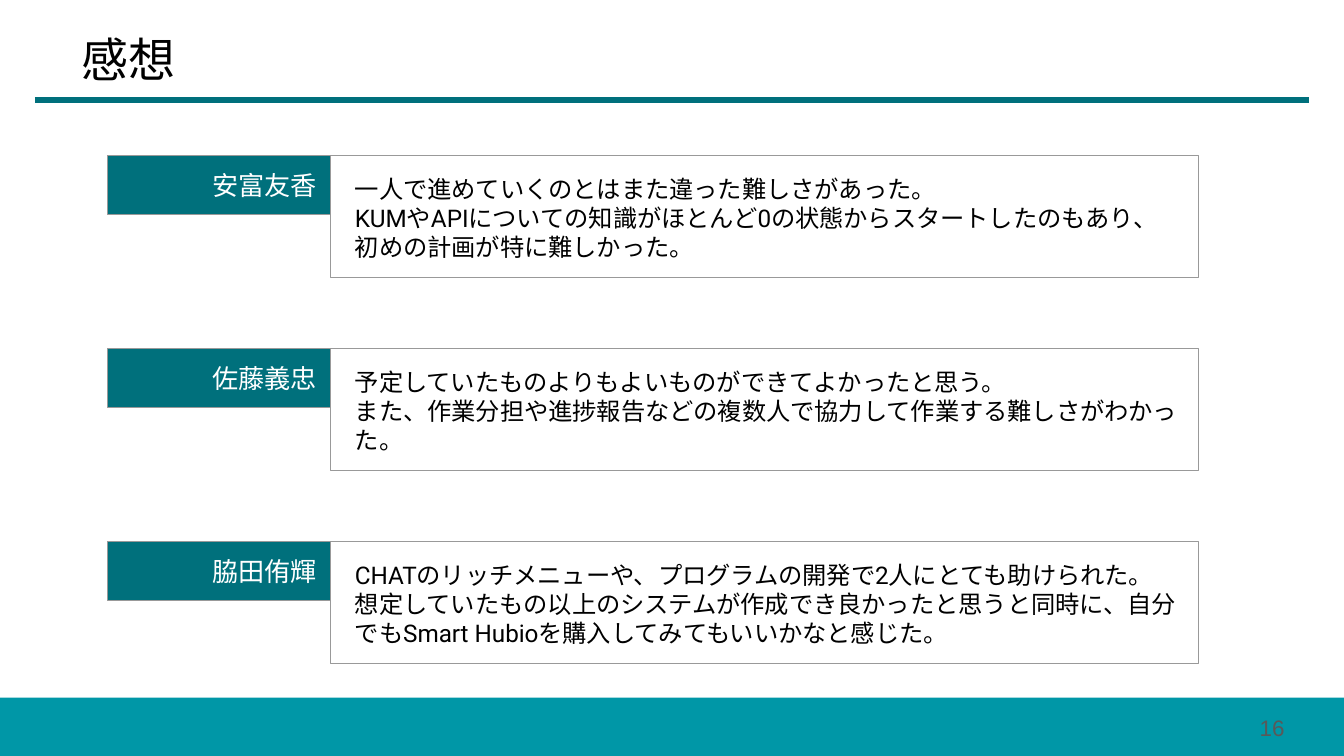
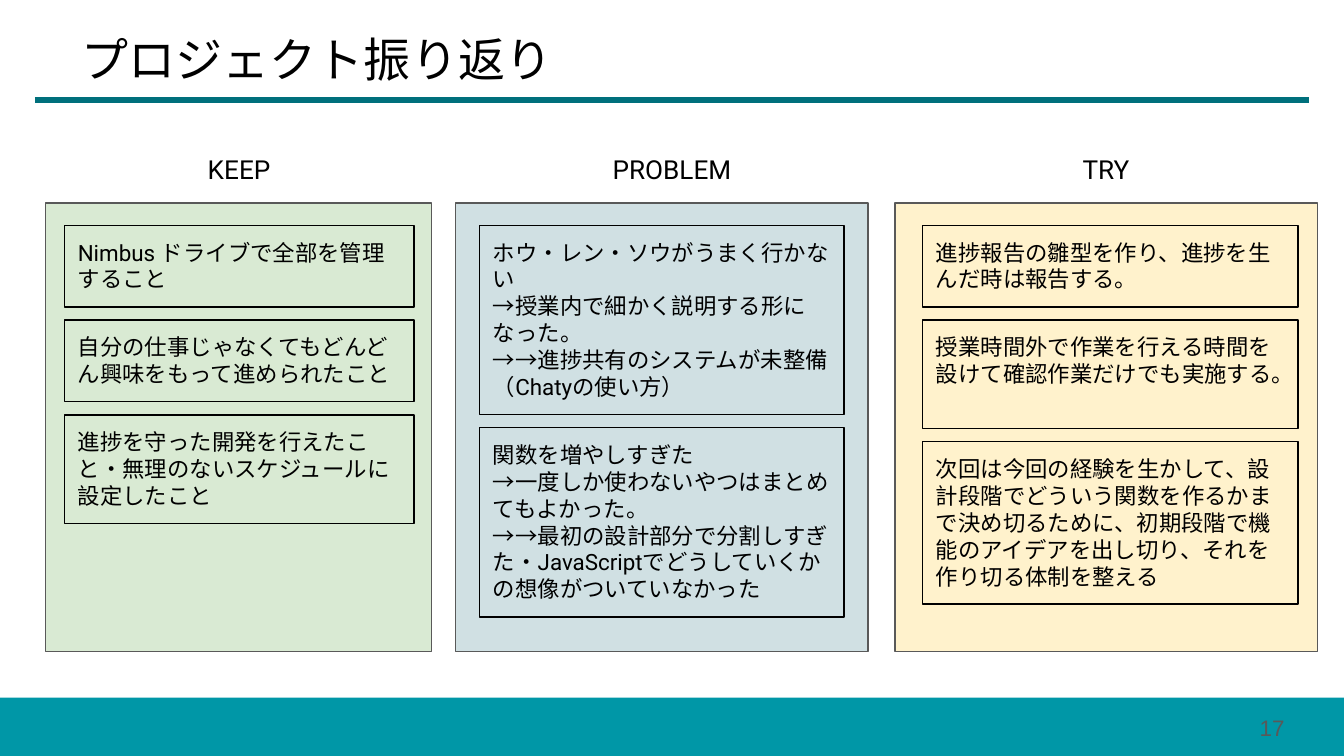
"""Build two project review slides: member impressions and a keep, problem, try board."""
from dataclasses import dataclass

import pptx
import pptx.dml.color
import pptx.enum.shapes
import pptx.enum.text
import pptx.oxml.ns
import pptx.slide
import pptx.text.text
import pptx.util
from lxml import etree

Pt = pptx.util.Pt
Align = pptx.enum.text.PP_ALIGN
Anchor = pptx.enum.text.MSO_ANCHOR

COLOURS = {
    "footer": "0097A7",
    "accent": "00707C",
    "text": "000000",
    "white": "FFFFFF",
    "grey": "595959",
    "frame": "999999",
    "keep": "D9EAD3",
    "problem": "D0E0E3",
    "try": "FFF2CC",
}
FONT = "Roboto"
WIDTH, HEIGHT = 720, 405
INSETS = (7.2, 7.2, 7.2, 7.2)

ROW_TOP, ROW_PITCH = 83.3, 103.4
NAME_LEFT, NAME_WIDTH, NAME_HEIGHT = 57.6, 119.5, 31.6
COMMENT_WIDTH, COMMENT_HEIGHT = 465.1, 65.5
COMMENT_INSETS = (13, 10, 10, 10)

PANEL_TOP, PANEL_HEIGHT = 108.7, 240.5
HEADING_TOP, HEADING_WIDTH, HEADING_HEIGHT = 74.9, 145.4, 31.6
CARD_TOP, CARD_GAP = 120.7, 7
CARD_PADDING, CARD_LINE = 15, 14.4


@dataclass(frozen=True)
class Area:
    left: float
    top: float
    width: float
    height: float


@dataclass(frozen=True)
class Style:
    size: float
    colour: str = "text"
    align: Align = Align.LEFT
    anchor: Anchor = Anchor.TOP
    insets: tuple[float, float, float, float] = INSETS
    font: str = FONT


@dataclass(frozen=True)
class Impression:
    member: str
    lines: tuple[str, ...]


@dataclass(frozen=True)
class Card:
    line_count: int
    lines: tuple[str, ...]


@dataclass(frozen=True)
class Column:
    heading: str
    fill: str
    heading_left: float
    panel_left: float
    panel_width: float
    card_left: float
    card_width: float
    cards: tuple[Card, ...]


TITLE = Style(25.2, anchor=Anchor.MIDDLE)
PAGE_NUMBER = Style(12, "grey", Align.RIGHT, Anchor.MIDDLE, (0, 0, 0, 0), "Arial")
MEMBER = Style(14, "white", Align.RIGHT)
COMMENT = Style(13, insets=COMMENT_INSETS)
HEADING = Style(14, align=Align.CENTER)
CARD = Style(12)

IMPRESSIONS = (
    Impression("安富友香", (
        "一人で進めていくのとはまた違った難しさがあった。",
        "KUMやAPIについての知識がほとんど0の状態からスタートしたのもあり、初めの計画が特に難しかった。",
    )),
    Impression("佐藤義忠", (
        "予定していたものよりもよいものができてよかったと思う。",
        "また、作業分担や進捗報告などの複数人で協力して作業する難しさがわかった。",
    )),
    Impression("脇田侑輝", (
        "CHATのリッチメニューや、プログラムの開発で2人にとても助けられた。",
        "想定していたもの以上のシステムが作成でき良かったと思うと同時に、自分でもSmart Hubioを購入してみてもいいかなと感じた。",
    )),
)

COLUMNS = (
    Column("KEEP", "keep", 55.4, 24.5, 206.6, 34.6, 187.2, (
        Card(2, ("Nimbus ドライブで全部を管理すること",)),
        Card(2, ("自分の仕事じゃなくてもどんどん興味をもって進められたこと",)),
        Card(3, ("進捗を守った開発を行えたこと・無理のないスケジュールに設定したこと",)),
    )),
    Column("PROBLEM", "problem", 287.3, 244.1, 221, 257, 195.3, (
        Card(6, (
            "ホウ・レン・ソウがうまく行かない",
            "→授業内で細かく説明する形になった。",
            "→→進捗共有のシステムが未整備（Chatyの使い方）",
        )),
        Card(6, (
            "関数を増やしすぎた",
            "→一度しか使わないやつはまとめてもよかった。",
            "→→最初の設計部分で分割しすぎた・JavaScriptでどうしていくかの想像がついていなかった",
        )),
    )),
    Column("TRY", "try", 519.8, 479.5, 226.3, 494.3, 201, (
        Card(2, ("進捗報告の雛型を作り、進捗を生んだ時は報告する。",)),
        Card(3, ("授業時間外で作業を行える時間を設けて確認作業だけでも実施する。",)),
        Card(5, ("次回は今回の経験を生かして、設計段階でどういう関数を作るかまで決め切るために、"
                 "初期段階で機能のアイデアを出し切り、それを作り切る体制を整える",)),
    )),
)


def colour(name: str) -> pptx.dml.color.RGBColor:
    return pptx.dml.color.RGBColor.from_string(COLOURS[name])


def lengths(area: Area) -> tuple[pptx.util.Length, ...]:
    return Pt(area.left), Pt(area.top), Pt(area.width), Pt(area.height)


def write(frame: pptx.text.text.TextFrame, lines: tuple[str, ...], style: Style) -> None:
    frame.word_wrap = True
    frame.vertical_anchor = style.anchor
    (frame.margin_left, frame.margin_top,
     frame.margin_right, frame.margin_bottom) = map(Pt, style.insets)
    for index, line in enumerate(lines):
        para = frame.add_paragraph() if index else frame.paragraphs[0]
        para.text = line
        para.alignment = style.align
        para.font.size = Pt(style.size)
        para.font.name = style.font
        para.font.color.rgb = colour(style.colour)
        defaults = para._p.get_or_add_pPr().find(pptx.oxml.ns.qn("a:defRPr"))
        etree.SubElement(defaults, pptx.oxml.ns.qn("a:ea"), typeface=style.font)


def add_label(page: pptx.slide.Slide, area: Area, text: str, style: Style) -> None:
    box = page.shapes.add_textbox(*lengths(area))
    write(box.text_frame, (text,), style)


def add_box(page: pptx.slide.Slide, area: Area, fill: str | None, line: str | None,
            lines: tuple[str, ...] = (), style: Style = CARD) -> None:
    box = page.shapes.add_shape(pptx.enum.shapes.MSO_SHAPE.RECTANGLE, *lengths(area))
    box.shadow.inherit = False
    if fill:
        box.fill.solid()
        box.fill.fore_color.rgb = colour(fill)
    else:
        box.fill.background()
    if line:
        box.line.color.rgb = colour(line)
        box.line.width = Pt(0.75)
    else:
        box.line.fill.background()
    if lines:
        write(box.text_frame, lines, style)


def add_page(deck: pptx.presentation.Presentation, title: str, number: int) -> pptx.slide.Slide:
    page = deck.slides.add_slide(deck.slide_layouts[6])
    add_box(page, Area(0, 373.8, WIDTH, HEIGHT - 373.8), "footer", None)
    rule = page.shapes.add_connector(
        pptx.enum.shapes.MSO_CONNECTOR.STRAIGHT, Pt(18.7), Pt(53.5), Pt(701.3), Pt(53.5))
    rule.line.color.rgb = colour("accent")
    rule.line.width = Pt(3)
    etree.SubElement(rule._element.spPr, pptx.oxml.ns.qn("a:effectLst"))
    add_label(page, Area(36.7, 8.6, 647.3, 45.4), title, TITLE)
    add_label(page, Area(640, 380, 48.2, 20), str(number), PAGE_NUMBER)
    return page


def add_impressions(page: pptx.slide.Slide) -> None:
    for row, impression in enumerate(IMPRESSIONS):
        top = ROW_TOP + row * ROW_PITCH
        add_box(page, Area(NAME_LEFT + NAME_WIDTH, top, COMMENT_WIDTH, COMMENT_HEIGHT),
                None, "frame", impression.lines, COMMENT)
        add_box(page, Area(NAME_LEFT, top, NAME_WIDTH, NAME_HEIGHT),
                "accent", "frame", (impression.member,), MEMBER)


def add_column(page: pptx.slide.Slide, column: Column) -> None:
    add_box(page, Area(column.panel_left, PANEL_TOP, column.panel_width, PANEL_HEIGHT),
            column.fill, "grey")
    add_label(page, Area(column.heading_left, HEADING_TOP, HEADING_WIDTH, HEADING_HEIGHT),
              column.heading, HEADING)
    top = CARD_TOP
    for card in column.cards:
        height = CARD_PADDING + CARD_LINE * card.line_count
        add_box(page, Area(column.card_left, top, column.card_width, height),
                None, "text", card.lines, CARD)
        top += height + CARD_GAP


def main() -> None:
    deck = pptx.Presentation()
    deck.slide_width, deck.slide_height = Pt(WIDTH), Pt(HEIGHT)
    add_impressions(add_page(deck, "感想", 16))
    board = add_page(deck, "プロジェクト振り返り", 17)
    for column in COLUMNS:
        add_column(board, column)
    deck.save("out.pptx")


if __name__ == "__main__":
    main()
